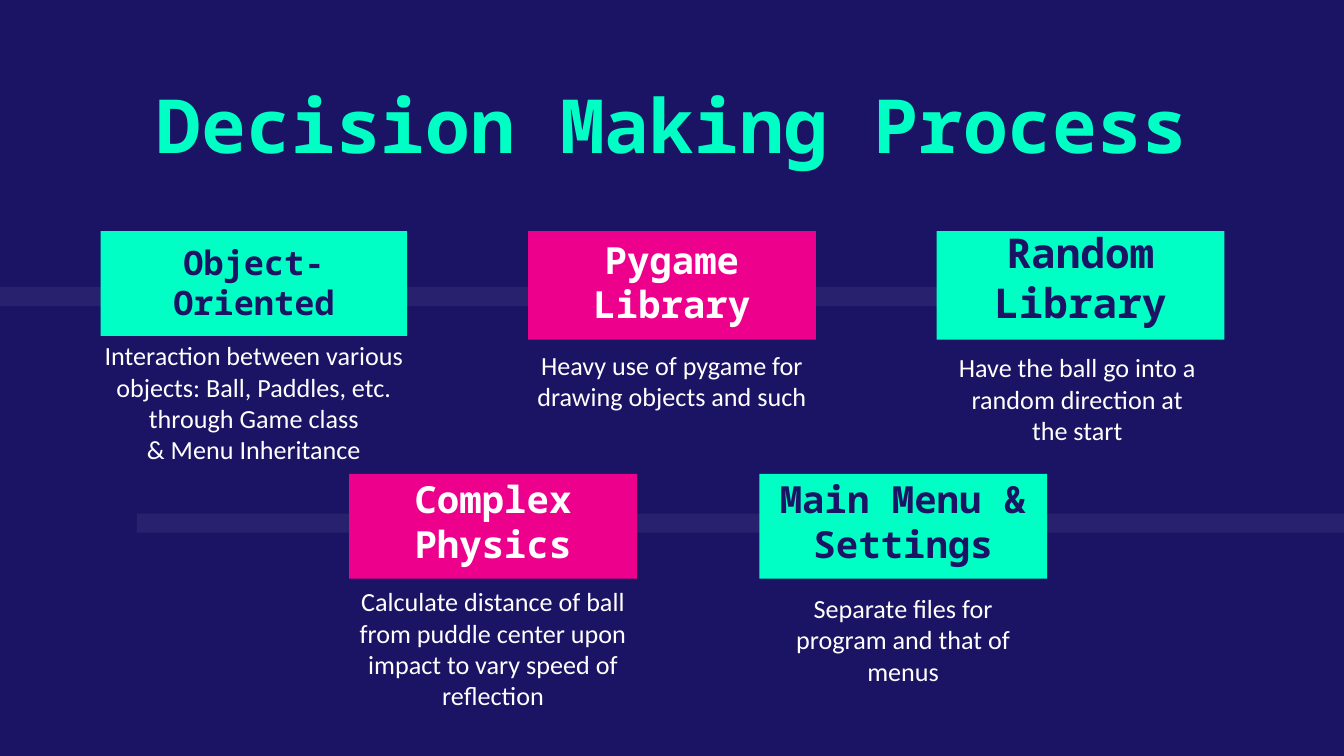
from dataclasses import dataclass

from lxml import etree
from pptx import Presentation
from pptx import util as u
from pptx.dml.color import RGBColor
from pptx.enum import shapes, text
from pptx.oxml.ns import qn


@dataclass(frozen=True)
class Theme:
    navy: str = "1B1464"
    mint: str = "00FFC5"
    pink: str = "EC008C"
    white: str = "FFFFFF"
    heading_font: str = "Noto Sans Mono"
    body_font: str = "Calibri"
    title_size: int = 40
    body_size: int = 14
    bar_opacity: int = 6


@dataclass(frozen=True)
class Card:
    """One decision; lengths in cm, placed by its centre line."""
    heading: str
    body: tuple
    size: int
    fill: str
    ink: str
    center: float
    top: float
    width: float
    height: float
    body_top: float
    body_width: float
    body_height: float
    body_shift: float = 0


THEME = Theme()
SLIDE_W, SLIDE_H = 25.4, 14.29
ROW_1, ROW_2 = 4.37, 8.96
MINT = (THEME.mint, THEME.navy)
PINK = (THEME.pink, THEME.white)

BARS = [(0, 5.43, 21.64), (2.59, 9.71, SLIDE_W - 2.59)]
BAR_H = 0.36

CARDS = [
    Card("Object-Oriented",
         ("Interaction between various objects: Ball, Paddles, etc. through Game class",
          "& Menu Inheritance"),
         18, *MINT, 4.8, ROW_1, 5.79, 1.98, 6.17, 6.35, 1.85),
    Card("Pygame Library",
         ("Heavy use of pygame for drawing objects and such",),
         20, *PINK, 12.7, ROW_1, 5.44, 2.05, 6.35, 6.17, 1.85),
    Card("Random Library",
         ("Have the ball go into a random direction at the start",),
         22, *MINT, 20.42, ROW_1, 5.44, 2.05, 6.4, 5.26, 2.05, -0.06),
    Card("Complex Physics",
         ("Calculate distance of ball from puddle center upon impact"
          " to vary speed of reflection",),
         20, *PINK, 9.32, ROW_2, 5.44, 1.98, 10.82, 6.02, 2.11),
    Card("Main Menu & Settings",
         ("Separate files for program and that of menus",),
         20, *MINT, 17.07, ROW_2, 5.44, 1.98, 10.95, 5.26, 1.85),
]


class Deck:
    def __init__(self, theme):
        self.theme = theme
        self.prs = Presentation()
        self.prs.slide_width = u.Cm(SLIDE_W)
        self.prs.slide_height = u.Cm(SLIDE_H)
        self.slide = None

    def add_slide(self):
        self.slide = self.prs.slides.add_slide(self.prs.slide_layouts[6])
        fill = self.slide.background.fill
        fill.solid()
        fill.fore_color.rgb = RGBColor.from_string(self.theme.navy)

    def rect(self, x, y, w, h, color, opacity=100):
        sp = self.slide.shapes.add_shape(
            shapes.MSO_SHAPE.RECTANGLE, *map(u.Cm, (x, y, w, h)))
        sp.shadow.inherit = False
        sp.line.fill.background()
        sp.fill.solid()
        sp.fill.fore_color.rgb = RGBColor.from_string(color)
        if opacity < 100:
            clr = sp.element.find(".//" + qn("a:srgbClr"))
            etree.SubElement(clr, qn("a:alpha"), val=str(opacity * 1000))
        return sp

    def set_text(self, sp, lines, anchor, color, **font):
        tf = sp.text_frame
        frame = dict.fromkeys(
            ("margin_left", "margin_top", "margin_right", "margin_bottom"), u.Cm(0.25))
        frame.update(word_wrap=True, vertical_anchor=anchor)
        for name, value in frame.items():
            setattr(tf, name, value)
        for i, line in enumerate(lines):
            p = tf.add_paragraph() if i else tf.paragraphs[0]
            p.alignment = text.PP_ALIGN.CENTER
            r = p.add_run()
            r.text = line
            for name, value in font.items():
                setattr(r.font, name, value)
            r.font.color.rgb = RGBColor.from_string(color)

    def label(self, x, y, w, h, lines, **font):
        sp = self.slide.shapes.add_textbox(*map(u.Cm, (x, y, w, h)))
        self.set_text(sp, lines, text.MSO_ANCHOR.TOP, **font)

    def title(self, line):
        t = self.theme
        self.label(2.08, 1.24, 21.23, 1.85, [line], name=t.heading_font,
                   size=u.Pt(t.title_size), bold=True, color=t.mint)

    def card(self, c):
        t = self.theme
        sp = self.rect(c.center - c.width / 2, c.top, c.width, c.height, c.fill)
        self.set_text(sp, [c.heading], text.MSO_ANCHOR.BOTTOM, name=t.heading_font,
                      size=u.Pt(c.size), bold=True, color=c.ink)
        self.label(c.center + c.body_shift - c.body_width / 2, c.body_top,
                   c.body_width, c.body_height, c.body, name=t.body_font,
                   size=u.Pt(t.body_size), color=t.white)


def main():
    deck = Deck(THEME)
    deck.add_slide()
    for x, y, w in BARS:
        deck.rect(x, y, w, BAR_H, THEME.white, THEME.bar_opacity)
    deck.title("Decision Making Process")
    for card in CARDS:
        deck.card(card)
    deck.prs.save("out.pptx")


if __name__ == "__main__":
    main()
